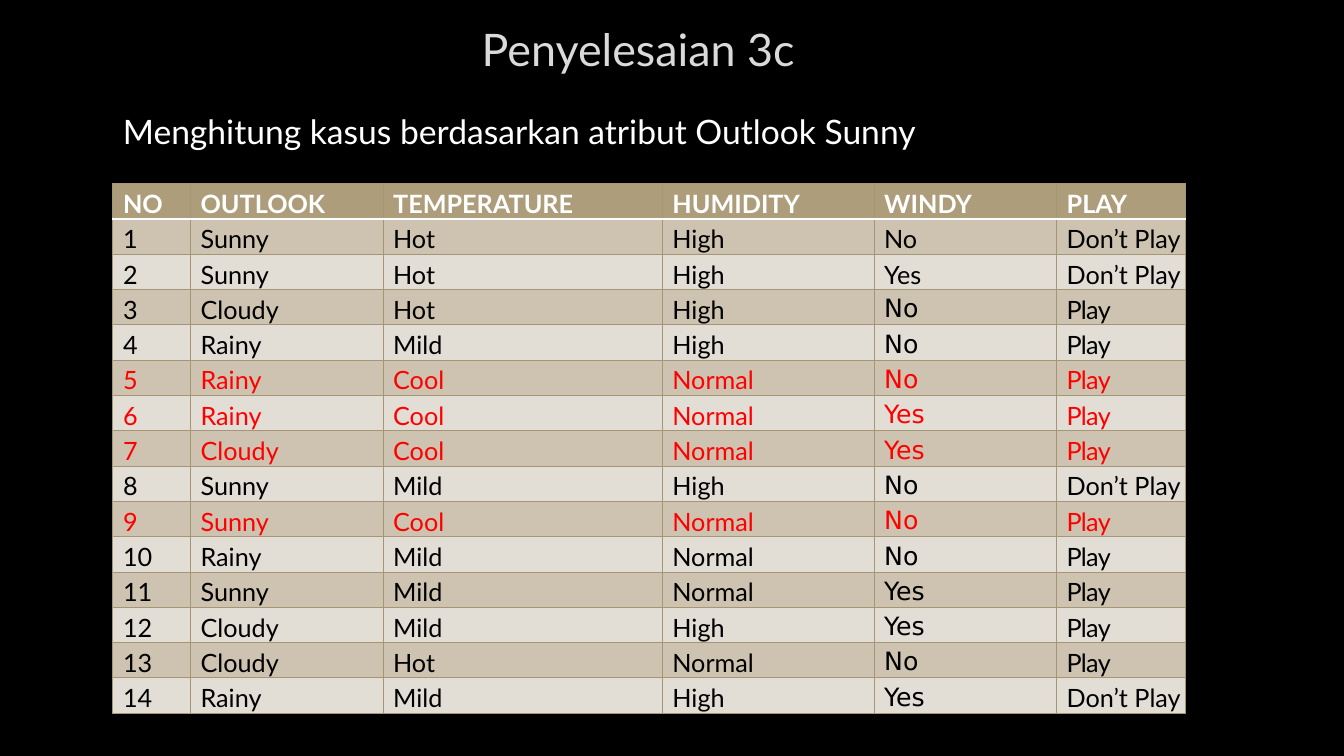
from pptx import Presentation
from pptx.dml.color import RGBColor
from pptx.enum.text import MSO_ANCHOR as Anchor, PP_ALIGN as Align
from pptx.oxml import parse_xml
from pptx.oxml.ns import nsdecls
from pptx.util import Inches, Pt

HEADS = ["NO", "OUTLOOK", "TEMPERATURE", "HUMIDITY", "WINDY", "PLAY"]
CASES = [
    ("Sunny", "Hot", "High", "No", "Don’t Play"),
    ("Sunny", "Hot", "High", "Yes", "Don’t Play"),
    ("Cloudy", "Hot", "High", "No", "Play"),
    ("Rainy", "Mild", "High", "No", "Play"),
    ("Rainy", "Cool", "Normal", "No", "Play"),
    ("Rainy", "Cool", "Normal", "Yes", "Play"),
    ("Cloudy", "Cool", "Normal", "Yes", "Play"),
    ("Sunny", "Mild", "High", "No", "Don’t Play"),
    ("Sunny", "Cool", "Normal", "No", "Play"),
    ("Rainy", "Mild", "Normal", "No", "Play"),
    ("Sunny", "Mild", "Normal", "Yes", "Play"),
    ("Cloudy", "Mild", "High", "Yes", "Play"),
    ("Cloudy", "Hot", "Normal", "No", "Play"),
    ("Rainy", "Mild", "High", "Yes", "Don’t Play"),
]
WIDTHS = [0.77, 1.91, 2.77, 2.1, 1.81, 1.28]


def tint(code):
    return RGBColor.from_string(code)


class Board:
    font = "Lato"
    alt = "DejaVu Sans"
    head = "AD9D7B"
    bands = ["E2DDD5", "CDC3B0"]
    edge = "A59675"
    white = "FFFFFF"

    def __init__(self, deck):
        self.slide = deck.slides.add_slide(deck.slide_layouts[6])
        back = self.slide.background.fill
        back.solid()
        back.fore_color.rgb = tint("000000")

    def run(self, para, text, size, color, font=None, bold=False):
        run = para.add_run()
        run.text = text
        run.font.size = Pt(size)
        run.font.name = font or self.font
        run.font.bold = bold
        run.font.color.rgb = tint(color)
        return run

    def text(self, box, text, size, color, align=Align.LEFT, anchor=Anchor.TOP):
        frame = self.slide.shapes.add_textbox(*map(Inches, box)).text_frame
        frame.word_wrap = True
        frame.vertical_anchor = anchor
        para = frame.paragraphs[0]
        para.alignment = align
        self.run(para, text, size, color)

    def line(self, cell, side, color, width):
        cell._tc.get_or_add_tcPr().append(parse_xml(
            f'<a:ln{side} {nsdecls("a")} w="{Pt(width)}"><a:solidFill>'
            f'<a:srgbClr val="{color}"/></a:solidFill></a:ln{side}>'))

    def cell(self, cell, text, fill, color, font, bold, lines):
        cell.margin_left = Inches(0.1)
        cell.margin_top = Inches(0.05)
        cell.margin_right = cell.margin_bottom = 0
        for side, (tone, width) in lines.items():
            self.line(cell, side, tone, width)
        cell.fill.solid()
        cell.fill.fore_color.rgb = tint(fill)
        run = self.run(cell.text_frame.paragraphs[0], text, 18, color, font, bold)
        if text == "Play":
            run.font._element.set("spc", "-50")

    def table(self, left, top, height, widths, rows):
        shape = self.slide.shapes.add_table(
            len(rows), len(widths), Inches(left), Inches(top),
            Inches(sum(widths)), Inches(height))
        grid = shape.table
        grid.first_row = grid.horz_banding = False
        for col, width in zip(grid.columns, widths):
            col.width = Inches(width)
        for i, row in enumerate(rows):
            grid.rows[i].height = Inches(height / len(rows))
            lines = {side: (self.edge, 0.75) for side in "LRTB"}
            if i < 2:
                lines["TB"[1 - i]] = (self.white, 1.25)
            fill = self.bands[i % 2] if i else self.head
            color = "FF0000" if "Cool" in row else "000000"
            for j, text in enumerate(row):
                font = self.alt if i > 2 and j == 4 else self.font
                self.cell(grid.cell(i, j), text, fill,
                          color if i else self.white, font, i == 0, lines)


def main():
    deck = Presentation()
    deck.slide_width = Inches(13.33)
    deck.slide_height = Inches(7.5)
    board = Board(deck)
    board.text((1.12, 0.27, 10.42, 0.43), "Penyelesaian 3c", 32, "DADADA",
               Align.CENTER, Anchor.MIDDLE)
    rows = [HEADS] + [(str(n), *case) for n, case in enumerate(CASES, 1)]
    board.table(1.12, 1.82, 5.24, WIDTHS, rows)
    board.text((1.12, 1.05, 11.03, 0.5),
               "Menghitung kasus berdasarkan atribut Outlook Sunny", 24, board.white)
    deck.save("out.pptx")


if __name__ == "__main__":
    main()
